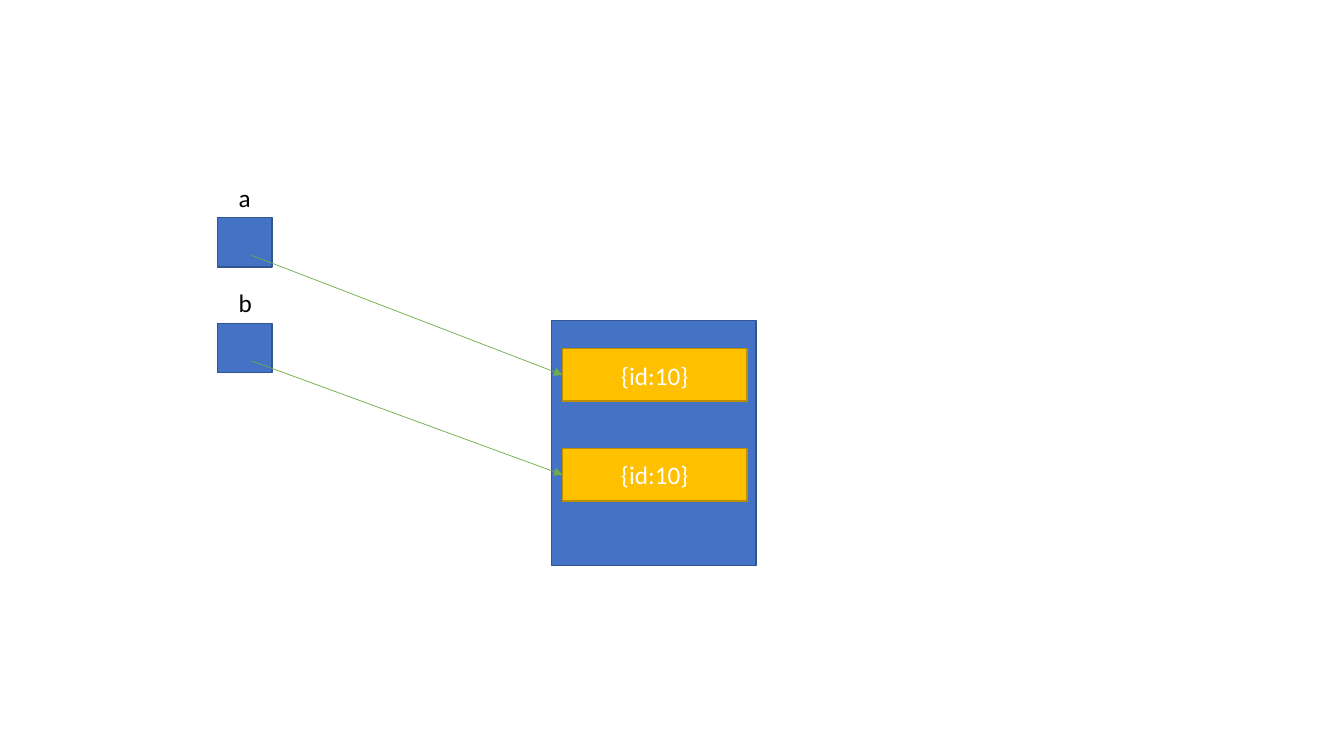
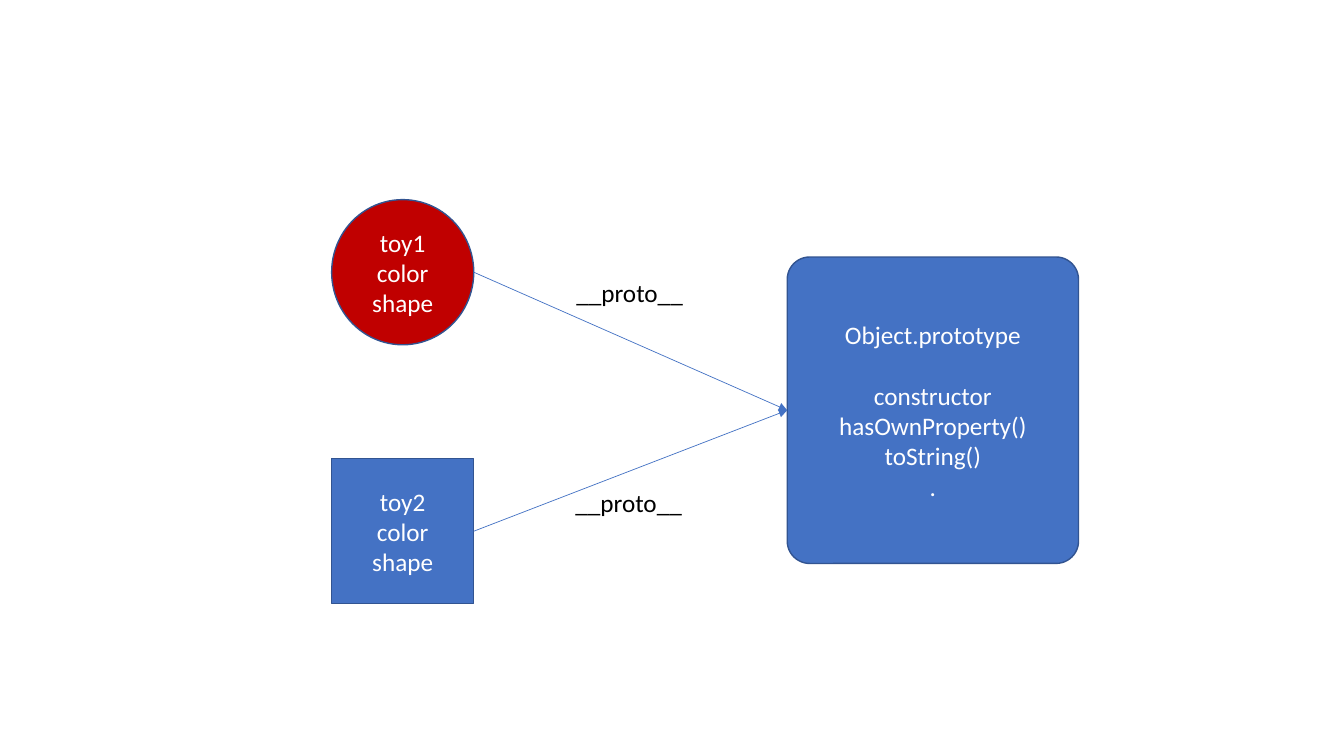
"""Build two slides on object references and prototypes."""
from lxml import etree
from pptx import Presentation
from pptx.dml.color import RGBColor
from pptx.enum import shapes as sh, text as tx
from pptx.oxml.ns import qn
from pptx.util import Pt

BLUE = RGBColor(0x44, 0x72, 0xC4)
NAVY = RGBColor(0x32, 0x54, 0x91)
GOLD = RGBColor(0xFF, 0xC0, 0x00)
BROWN = RGBColor(0xBD, 0x8E, 0x00)
RED = RGBColor(0xC0, 0x00, 0x00)
GREEN = RGBColor(0x70, 0xAD, 0x47)
WHITE = RGBColor(0xFF, 0xFF, 0xFF)
BLACK = RGBColor(0x00, 0x00, 0x00)
FONT, SIZE = "Calibri", 18

RECT = sh.MSO_SHAPE.RECTANGLE
ROUND = sh.MSO_SHAPE.ROUNDED_RECTANGLE
OVAL = sh.MSO_SHAPE.OVAL

VARS = [("a", "{id:10}", 23), ("b", "{id:10}", 24.5)]
HEAP = (393.8, 229, 146.2, 175)
TOYS = [("toy1", OVAL, RED, (404.6, 194.4)),
        ("toy2", RECT, BLUE, (403.9, 344.9))]
TRAITS = ["color", "shape"]
LINK = "__proto__"
PROTO = ["Object.prototype", "constructor", "hasOwnProperty()", "toString()", "."]
BASE = (562.3, 183.6, 208.1, 218.9)


def style(frame, color, align):
    """Apply the shared font to every line of a frame."""
    for para in frame.paragraphs:
        para.alignment = align
        for run in para.runs:
            run.font.name, run.font.size = FONT, Pt(SIZE)
            run.font.color.rgb = color


def box(slide, kind, area, fill, edge=NAVY, lines=()):
    """Add a filled shape with centred white lines."""
    item = slide.shapes.add_shape(kind, *map(Pt, area))
    item.shadow.inherit = False
    item.fill.solid()
    item.fill.fore_color.rgb = fill
    item.line.color.rgb, item.line.width = edge, Pt(1)
    if lines:
        frame = item.text_frame
        frame.text = "\n".join(lines)
        frame.vertical_anchor = tx.MSO_ANCHOR.MIDDLE
        style(frame, WHITE, tx.PP_ALIGN.CENTER)
    return item


def label(slide, words, left, top, width):
    """Add a black caption on one line."""
    item = slide.shapes.add_textbox(*map(Pt, (left, top, width, 28.8)))
    frame = item.text_frame
    frame.text, frame.word_wrap = words, False
    frame.auto_size = tx.MSO_AUTO_SIZE.SHAPE_TO_FIT_TEXT
    style(frame, BLACK, tx.PP_ALIGN.LEFT)


def arrow(slide, start, end, color):
    """Add a thin line with a triangle at its end."""
    item = slide.shapes.add_connector(
        sh.MSO_CONNECTOR.STRAIGHT, *map(Pt, start + end))
    item.line.color.rgb, item.line.width = color, Pt(0.5)
    etree.SubElement(item.line._get_or_add_ln(), qn("a:tailEnd"), type="triangle")
    etree.SubElement(item._element.spPr, qn("a:effectLst"))


def refs(slide):
    """Draw variables that point at records in the heap."""
    box(slide, RECT, HEAP, BLUE)
    left, wide, tall = 401.8, 131.8, 37.4
    for row, (name, value, width) in enumerate(VARS):
        top = 155.5 + 75.4 * row
        mid = 267.8 + 71.3 * row
        label(slide, name, 163.4, top - 29, width)
        box(slide, RECT, (155.5, top, 38.9, 35.3), BLUE)
        box(slide, RECT, (left, mid - tall / 2, wide, tall), GOLD, BROWN, [value])
        arrow(slide, (180, top + 27), (left, mid), GREEN)


def protos(slide):
    """Draw toys that share one prototype."""
    base = box(slide, ROUND, BASE, BLUE, lines=PROTO)
    base.adjustments[0] = 0.077
    base.text_frame.paragraphs[1].space_before = Pt(22)
    left, top, wide, tall = BASE
    goal = (left, top + tall / 2)
    for row, (name, kind, fill, spot) in enumerate(TOYS):
        x, y, w, h = 236.9, 142.6 + 185 * row, 101.5, 103.7
        box(slide, kind, (x, y, w, h), fill, lines=[name] + TRAITS)
        arrow(slide, (x + w, y + h / 2), goal, BLUE)
        label(slide, LINK, *spot, 91.4)


deck = Presentation()
deck.slide_width, deck.slide_height = Pt(960), Pt(540)
for draw in (refs, protos):
    draw(deck.slides.add_slide(deck.slide_layouts[6]))
deck.save("out.pptx")
